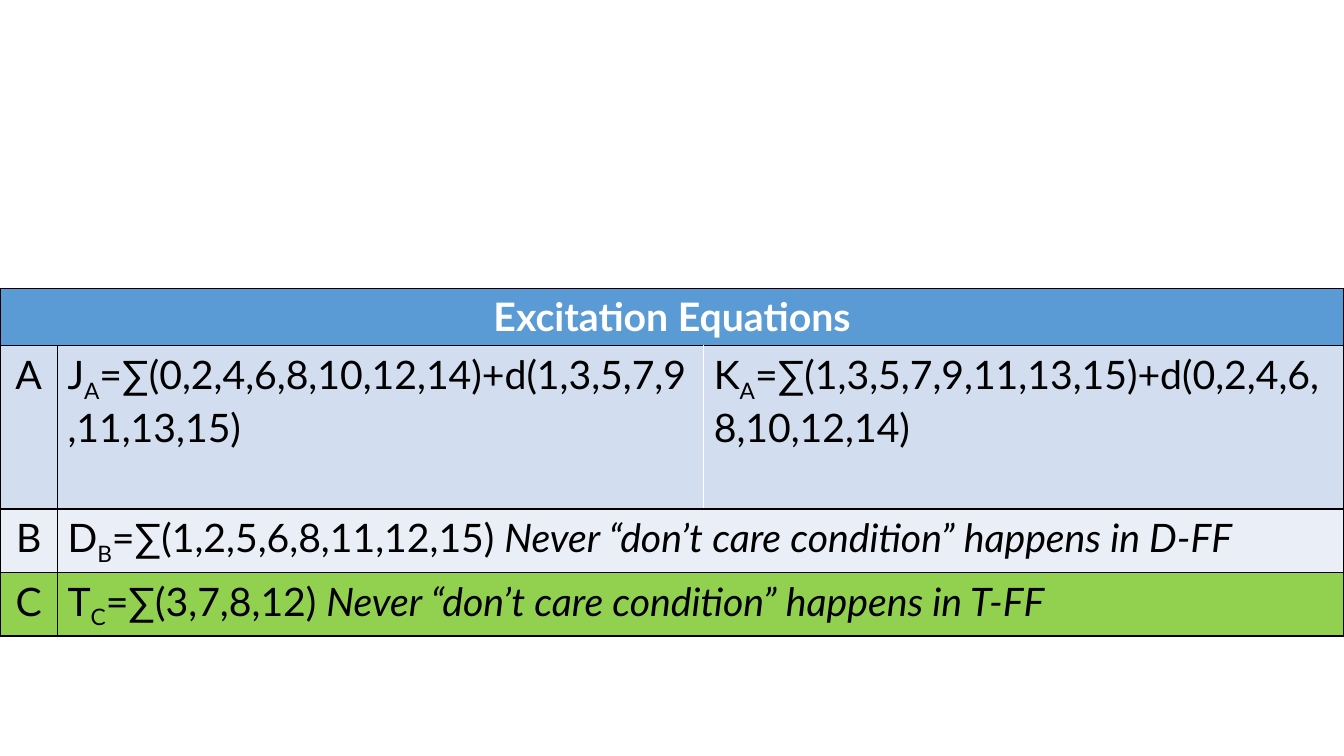
from lxml import etree
from pptx import Presentation
from pptx import util as u
from pptx.dml.color import RGBColor
from pptx.enum import text
from pptx.oxml import ns

COLORS = {"header": "5B9BD5", "A": "D2DEEF", "B": "EAEFF7", "C": "92D050",
          "black": "000000", "white": "FFFFFF"}
COL_WIDTHS = [0.57, 6.41, 6.35]
ROW_HEIGHTS = [0.57, 1.62, 0.63, 0.63]
NEVER = "Never “don’t care condition” happens in {}-FF"
# Row label, then for each cell: input, its equation, remark
EQUATIONS = [
    ("A", [("J", "=∑(0,2,4,6,8,10,12,14)+d(1,3,5,7,9,11,13,15)", ""),
           ("K", "=∑(1,3,5,7,9,11,13,15)+d(0,2,4,6,8,10,12,14)", "")]),
    ("B", [("D", "=∑(1,2,5,6,8,11,12,15) ", NEVER.format("D"))]),
    ("C", [("T", "=∑(3,7,8,12) ", NEVER.format("T"))]),
]


def set_borders(cell, **side_colors):
    """Draw 1 pt borders, black unless a side (L, R, T, B) has its own colour."""
    tc_pr = cell._tc.get_or_add_tcPr()
    for side in "LRTB":
        ln = etree.SubElement(tc_pr, ns.qn(f"a:ln{side}"), w=str(u.Pt(1)))
        fill = etree.SubElement(ln, ns.qn("a:solidFill"))
        color = COLORS[side_colors.get(side, "black")]
        etree.SubElement(fill, ns.qn("a:srgbClr"), val=color)


def add_run(p, words, color="black", subscript=False, **formats):
    r = p.add_run()
    r.text = words
    values = {"name": "Lato", "size": u.Pt(28), "bold": False, "italic": False}
    for name, value in {**values, **formats}.items():
        setattr(r.font, name, value)
    r.font.color.rgb = RGBColor.from_string(COLORS[color])
    if subscript:
        r._r.get_or_add_rPr().set("baseline", "-25000")


def fill_equation(cell, label, equation):
    name, terms, remark = equation
    p = cell.text_frame.paragraphs[0]
    add_run(p, name)
    add_run(p, label, subscript=True)
    add_run(p, terms)
    if remark:
        add_run(p, remark, italic=True)


def fill_centered(cell, words, **formats):
    p = cell.text_frame.paragraphs[0]
    p.alignment = text.PP_ALIGN.CENTER
    add_run(p, words, **formats)


def add_equation_table(s, left, top):
    size = u.Inches(sum(COL_WIDTHS)), u.Inches(sum(ROW_HEIGHTS))
    table = s.shapes.add_table(len(ROW_HEIGHTS), len(COL_WIDTHS),
                               u.Inches(left), u.Inches(top), *size).table
    for column, width in zip(table.columns, COL_WIDTHS):
        column.width = u.Inches(width)
    for row, height, key in zip(table.rows, ROW_HEIGHTS, ["header", *"ABC"]):
        row.height = u.Inches(height)
        for i, cell in enumerate(row.cells):
            inner = {1: {"R": "white"}, 2: {"L": "white"}}.get(i, {})
            set_borders(cell, **(inner if key == "A" else {}))
            cell.fill.solid()
            cell.fill.fore_color.rgb = RGBColor.from_string(COLORS[key])

    table.cell(0, 0).merge(table.cell(0, 2))
    fill_centered(table.cell(0, 0), "Excitation Equations", color="white", bold=True)
    for i, (label, equations) in enumerate(EQUATIONS, start=1):
        fill_centered(table.cell(i, 0), label)
        if len(equations) == 1:
            table.cell(i, 1).merge(table.cell(i, 2))
        for j, equation in enumerate(equations, start=1):
            fill_equation(table.cell(i, j), label, equation)


def main():
    prs = Presentation()
    prs.slide_width, prs.slide_height = u.Inches(13.33), u.Inches(7.5)
    s = prs.slides.add_slide(prs.slide_layouts[6])
    add_equation_table(s, left=0, top=2.86)
    prs.save("out.pptx")


if __name__ == "__main__":
    main()
